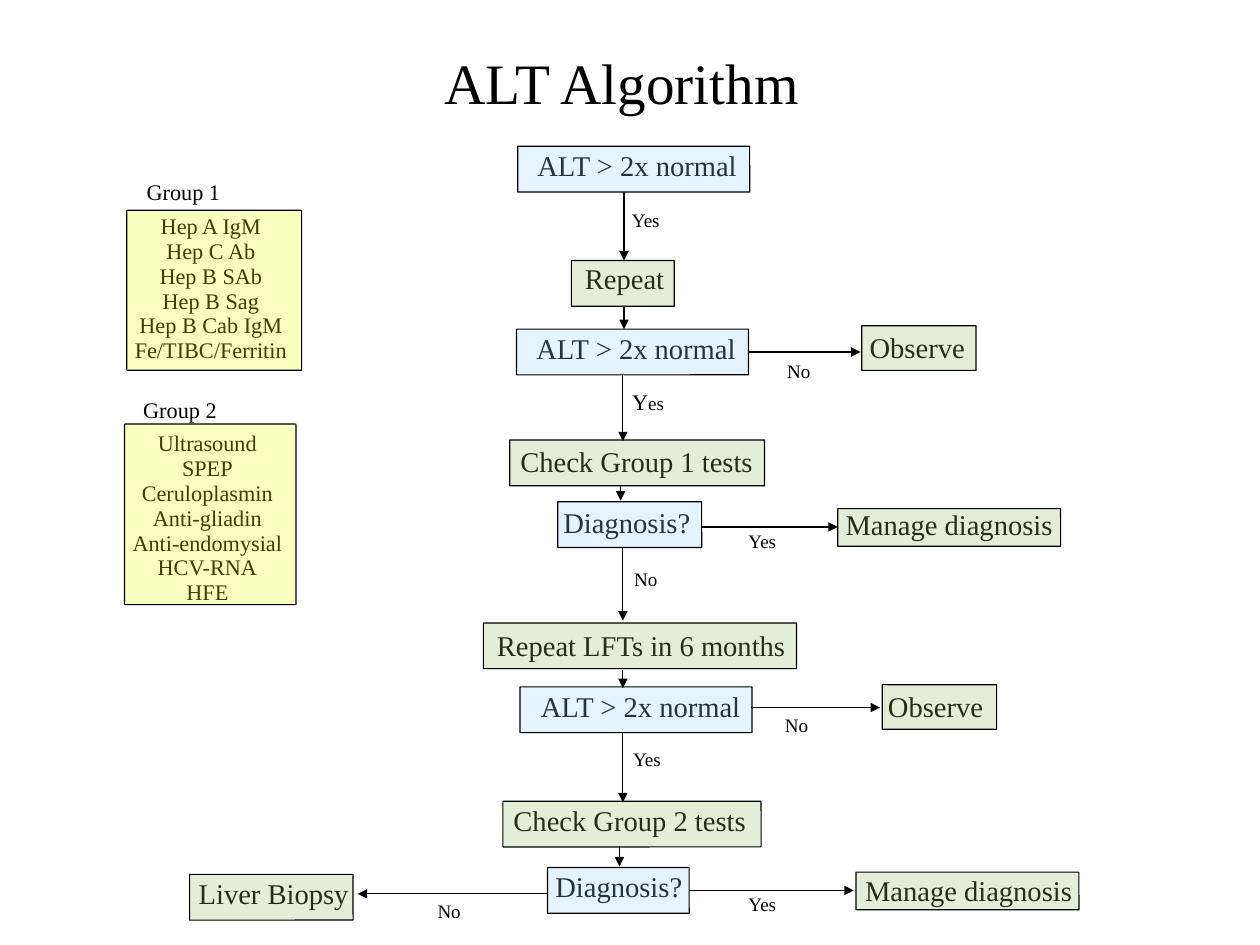
import pptx
import pptx.util
import pptx.dml.color
import pptx.enum.shapes
import pptx.enum.text
import pptx.oxml.ns
import lxml.etree

Inches = pptx.util.Inches
Pt = pptx.util.Pt
RGBColor = pptx.dml.color.RGBColor

BLACK = RGBColor(0x00, 0x00, 0x00)
BLUE = RGBColor(0x99, 0xCC, 0xFF)
GREEN = RGBColor(0x94, 0xBD, 0x5E)
YELLOW = RGBColor(0xE6, 0xFF, 0x00)


class Flowchart:
    font = "Times New Roman"
    line_width = Pt(0.75)
    line_spacing = 0.93
    opacity = 25
    corner = 0.004
    slack = 0.03
    line_inches = 1.12 / 72

    def __init__(self, slide):
        self.slide = slide

    def add_xml(self, parent, tag, **attributes):
        return lxml.etree.SubElement(parent, pptx.oxml.ns.qn(tag), attributes)

    def outline(self, line):
        line.color.rgb = BLACK
        line.width = self.line_width

    def text(self, left, top, width, paragraphs, shapes=None):
        shapes = self.slide.shapes if shapes is None else shapes
        height = sum(max(size for _, size in runs) for runs in paragraphs) * self.line_inches
        label = shapes.add_textbox(
            Inches(left - self.slack), Inches(top),
            Inches(width + 2 * self.slack), Inches(height))
        frame = label.text_frame
        frame.word_wrap = False
        frame.auto_size = pptx.enum.text.MSO_AUTO_SIZE.SHAPE_TO_FIT_TEXT
        frame.margin_left = frame.margin_right = frame.margin_top = frame.margin_bottom = 0
        for index, runs in enumerate(paragraphs):
            paragraph = frame.add_paragraph() if index else frame.paragraphs[0]
            paragraph.alignment = pptx.enum.text.PP_ALIGN.CENTER
            paragraph.line_spacing = self.line_spacing
            for words, size in runs:
                run = paragraph.add_run()
                run.text = words
                run.font.name = self.font
                run.font.size = Pt(size)
                run.font.color.rgb = BLACK

    def box(self, left, top, width, height, colour, shapes=None):
        shapes = self.slide.shapes if shapes is None else shapes
        frame = shapes.add_shape(
            pptx.enum.shapes.MSO_SHAPE.ROUNDED_RECTANGLE,
            Inches(left), Inches(top), Inches(width), Inches(height))
        frame.adjustments[0] = self.corner
        frame.shadow.inherit = False
        frame.fill.solid()
        frame.fill.fore_color.rgb = colour
        tint = frame._element.spPr.find(".//" + pptx.oxml.ns.qn("a:srgbClr"))
        self.add_xml(tint, "a:alpha", val=str(self.opacity * 1000))
        self.outline(frame.line)

    def step(self, words, colour, box, label):
        group = self.slide.shapes.add_group_shape()
        self.text(*label, [[(words, 18)]], group.shapes)
        self.box(*box, colour, group.shapes)

    def arrow(self, x1, y1, x2, y2):
        arrow = self.slide.shapes.add_connector(
            pptx.enum.shapes.MSO_CONNECTOR.STRAIGHT,
            Inches(x1), Inches(y1), Inches(x2), Inches(y2))
        self.outline(arrow.line)
        stroke = arrow._element.spPr.find(pptx.oxml.ns.qn("a:ln"))
        self.add_xml(stroke, "a:tailEnd", type="triangle")
        self.add_xml(arrow._element.spPr, "a:effectLst")

    def test_group(self, heading, heading_at, tests, tests_at, box):
        self.text(*heading_at, [[(heading, 14)]])
        self.text(*tests_at, [[(test, 14)] for test in tests])
        self.box(*box, YELLOW)


ANSWERS = [
    ("No", 6.87, 6.26), ("Yes", 5.52, 1.84), ("Yes", 6.54, 4.65),
    ("No", 6.89, 3.16), ("Yes", 5.53, 6.56), ("No", 3.83, 7.89),
    ("No", 5.55, 4.98), ("Yes", 6.54, 7.83),
]
ANSWER_WIDTHS = {"Yes": 0.26, "No": 0.2}

STEPS = [
    ("ALT > 2x normal", BLUE, (4.53, 1.28, 2.03, 0.4), (4.69, 1.32, 1.77)),
    ("ALT > 2x normal", BLUE, (4.52, 2.88, 2.03, 0.4), (4.68, 2.92, 1.77)),
    ("ALT > 2x normal", BLUE, (4.55, 6.01, 2.03, 0.4), (4.72, 6.05, 1.77)),
    ("Diagnosis?", BLUE, (4.88, 4.39, 1.26, 0.4), (4.93, 4.44, 1.11)),
    ("Diagnosis?", BLUE, (4.79, 7.59, 1.24, 0.4), (4.86, 7.63, 1.11)),
    ("Repeat", GREEN, (5, 2.28, 0.9, 0.4), (5.12, 2.31, 0.69)),
    ("Check Group 1 tests", GREEN, (4.46, 3.85, 2.23, 0.4), (4.55, 3.91, 2.04)),
    ("Check Group 2 tests", GREEN, (4.4, 7.01, 2.26, 0.4), (4.49, 7.05, 2.04)),
    ("Liver Biopsy", GREEN, (1.66, 7.65, 1.43, 0.4), (1.74, 7.69, 1.31)),
    ("Repeat LFTs in 6 months", GREEN, (4.23, 5.45, 2.74, 0.4), (4.34, 5.52, 2.54)),
    ("Observe", GREEN, (7.54, 2.85, 1, 0.39), (7.61, 2.91, 0.83)),
    ("Manage diagnosis", GREEN, (7.33, 4.45, 1.95, 0.33), (7.4, 4.46, 1.81)),
    ("Manage diagnosis", GREEN, (7.49, 7.63, 1.95, 0.33), (7.57, 7.66, 1.81)),
    ("Observe", GREEN, (7.72, 5.99, 1, 0.39), (7.77, 6.05, 0.83)),
]

DOWN_ARROWS = [
    (5.46, 1.68, 2.28), (5.46, 2.68, 2.88), (5.45, 3.28, 3.86), (5.43, 4.25, 4.38),
    (5.45, 4.79, 5.43), (5.45, 5.86, 6.02), (5.45, 6.4, 7.02), (5.42, 7.4, 7.58),
]
SIDE_ARROWS = [
    (7.82, 4.79, 3.13), (3.08, 6.55, 7.53), (4.61, 6.13, 7.33),
    (6.19, 6.57, 7.7), (7.79, 6.03, 7.47),
]

GROUP_1 = ["Hep A IgM", "Hep C Ab", "Hep B SAb", "Hep B Sag", "Hep B Cab IgM",
           "Fe/TIBC/Ferritin"]
GROUP_2 = ["Ultrasound", "SPEP", "Ceruloplasmin", "Anti-gliadin", "Anti-endomysial",
           "HCV-RNA", "HFE"]


def main():
    deck = pptx.Presentation()
    deck.slide_width = Pt(793.75)
    deck.slide_height = Pt(595.25)
    chart = Flowchart(deck.slides.add_slide(deck.slide_layouts[6]))

    for answer, left, top in ANSWERS:
        chart.text(left, top, ANSWER_WIDTHS[answer], [[(answer, 12)]])
    chart.text(5.53, 3.42, 0.28, [[("Y", 14), ("es", 12)]])
    for step in STEPS:
        chart.step(*step)
    for x, start, end in DOWN_ARROWS:
        chart.arrow(x, start, x, end)
    for y, start, end in SIDE_ARROWS:
        chart.arrow(start, y, end, y)
    chart.test_group("Group 1", (1.28, 1.58, 0.65), GROUP_1, (1.18, 1.88, 1.33),
                     (1.11, 1.84, 1.53, 1.4))
    chart.test_group("Group 2", (1.25, 3.49, 0.65), GROUP_2, (1.16, 3.78, 1.31),
                     (1.09, 3.71, 1.5, 1.58))
    chart.text(3.85, 0.47, 3.18, [[("ALT Algorithm", 36)]])

    deck.save("out.pptx")


if __name__ == "__main__":
    main()
